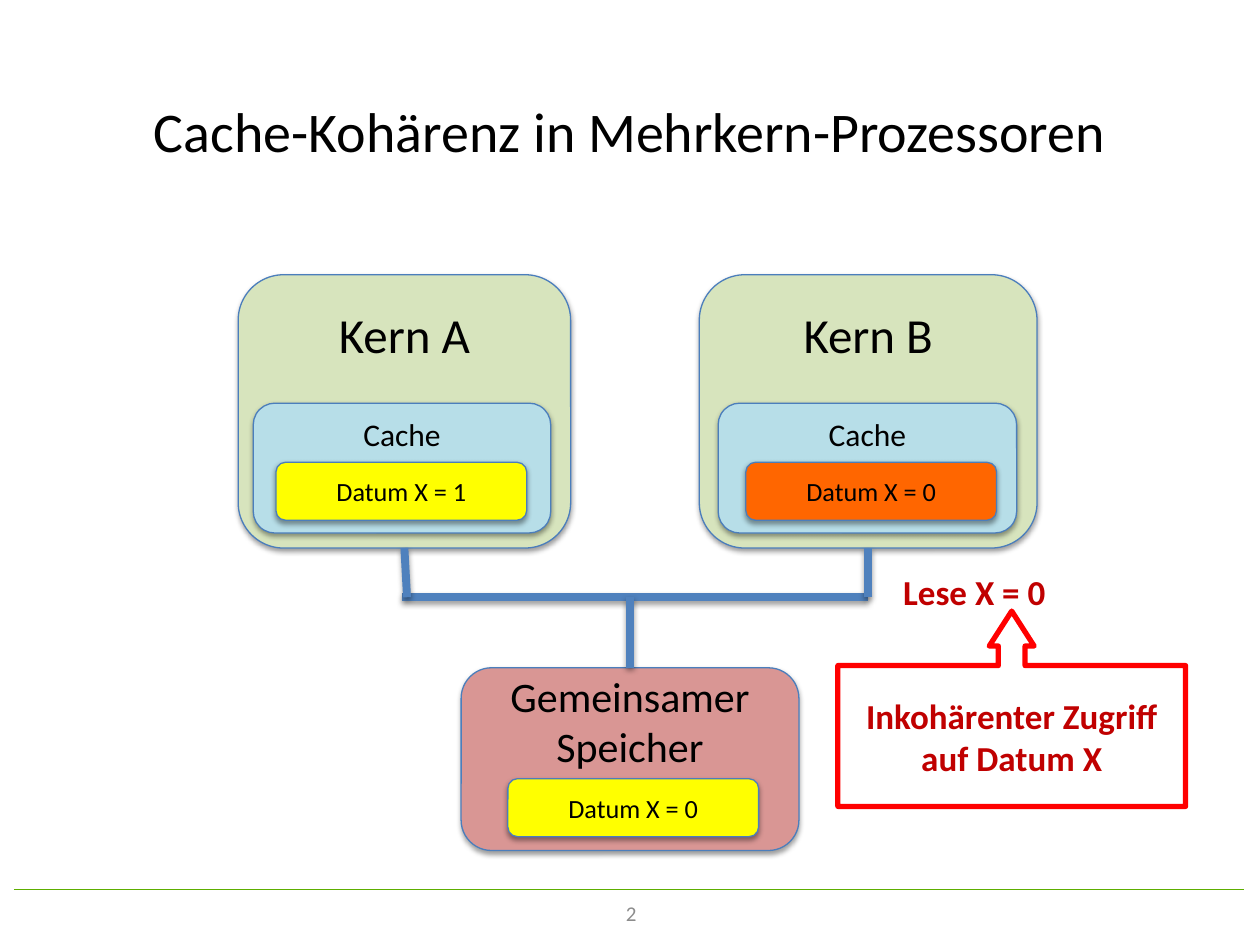
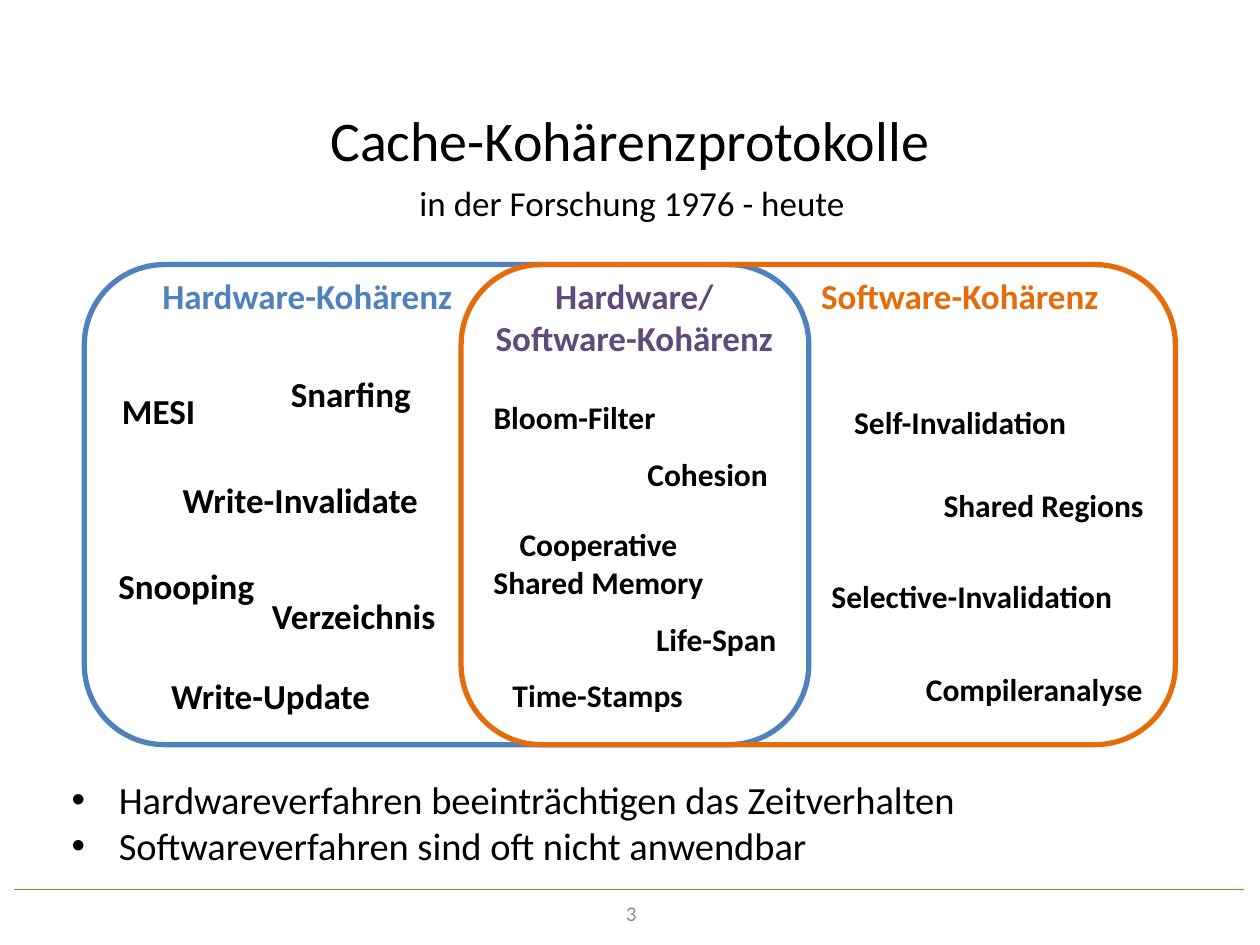
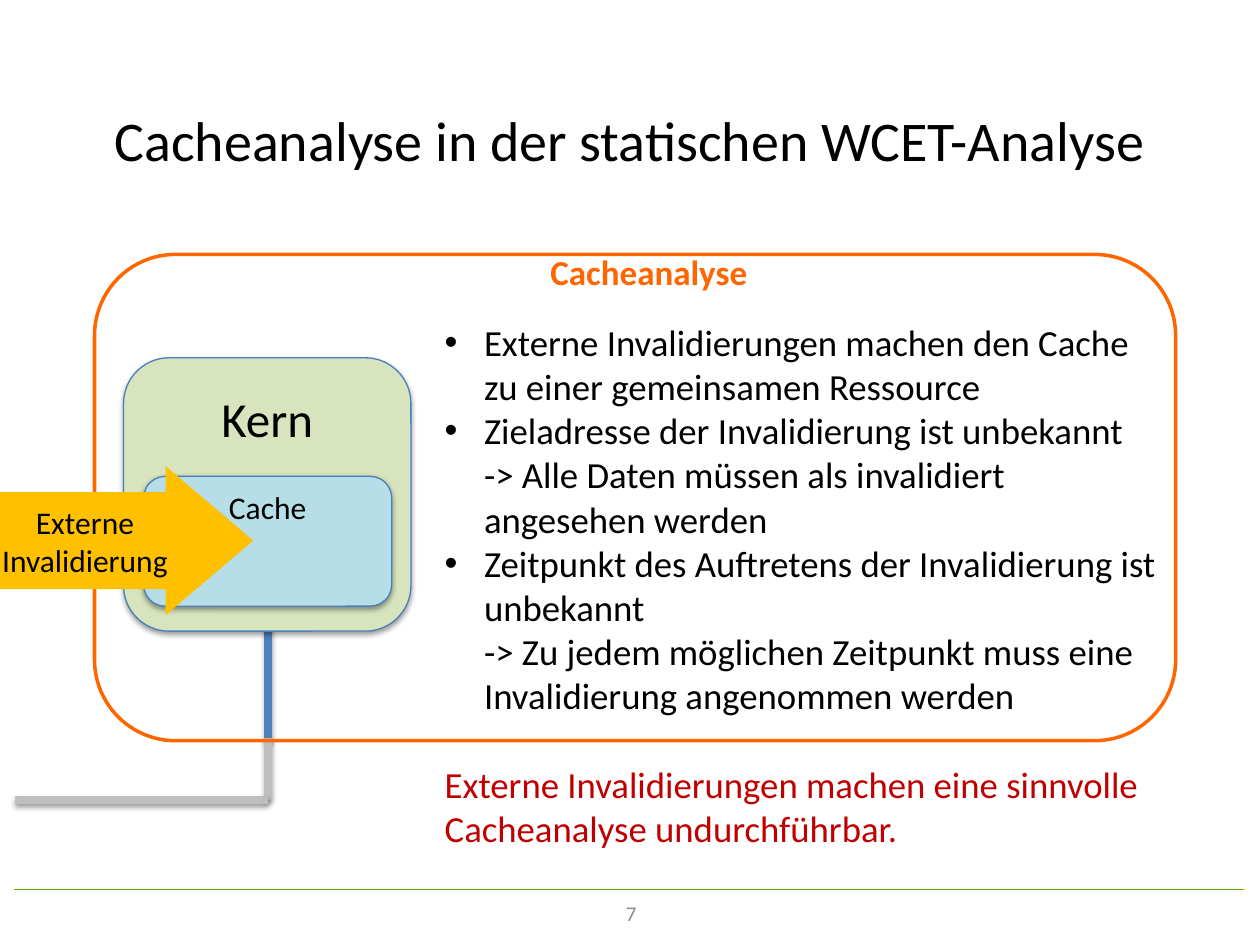
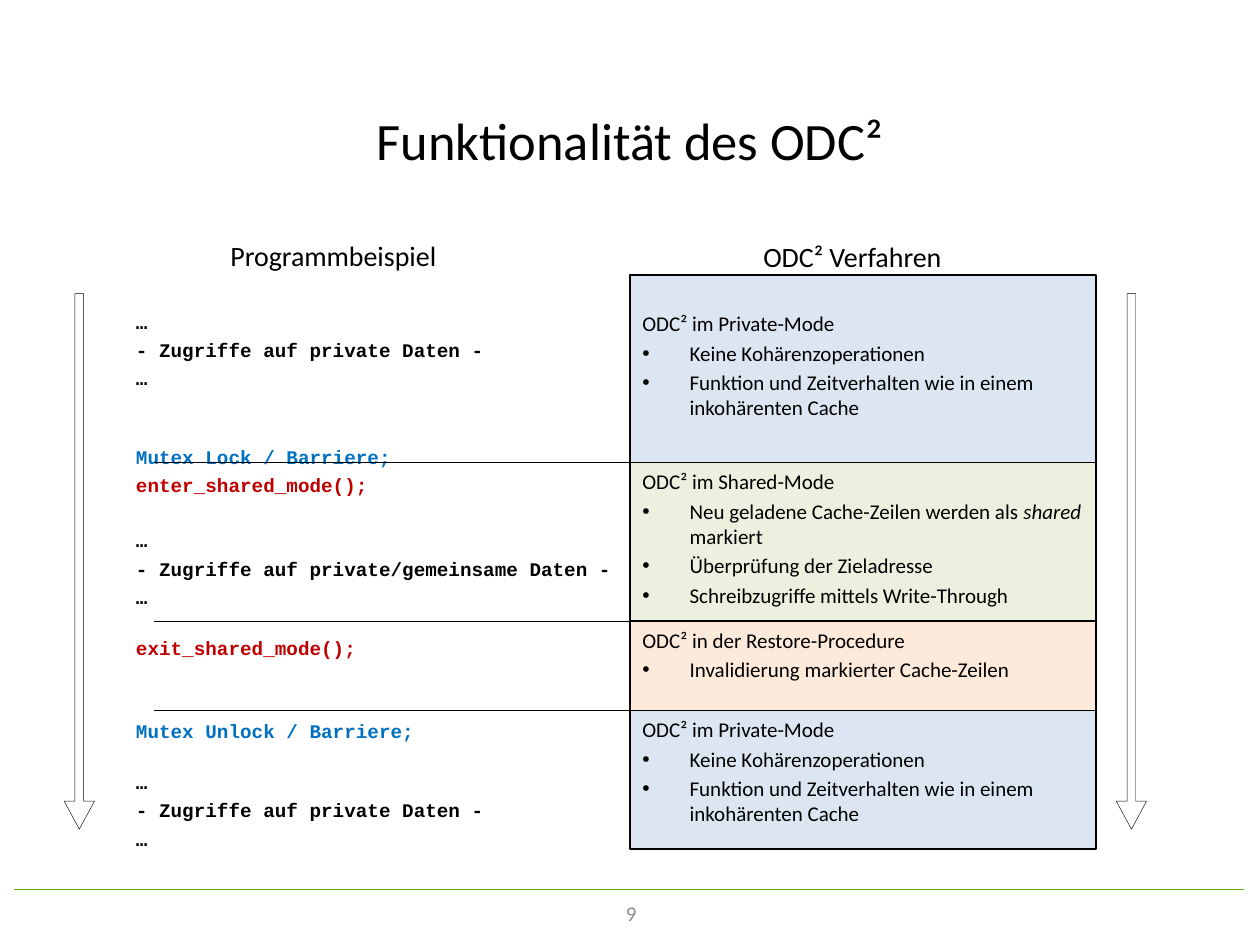
from dataclasses import dataclass, replace
from typing import NamedTuple, Optional, Sequence

from lxml import etree
from pptx import Presentation
from pptx import util as u
from pptx.dml import color as dml_color
from pptx.enum import dml, shapes, text
from pptx.oxml import ns

Pt = u.Pt
KIND = shapes.MSO_SHAPE
ALIGN = text.PP_ALIGN
ANCHOR = text.MSO_ANCHOR

COLORS = {
    "ink": "000000",
    "page_number": "8C8C8C",
    "footer": "5DAE00",
    "outline": "4B7EBC",
    "bus": "4F81BD",
    "outside_bus": "BFBFBF",
    "core": "D7E4BD",
    "cache": "B7DEE8",
    "memory": "D99694",
    "current": "FFFF00",
    "stale": "FF6600",
    "warning": "C00000",
    "alarm": "FF0000",
    "hardware": "4F81BD",
    "software": "E46C0A",
    "hybrid": "604A7B",
    "invalidation": "FFC000",
    "lock": "0070C0",
    "private": "DCE6F2",
    "shared": "EBF1DE",
    "restore": "FDEADA",
}
LINE_HEIGHT = 1.22
PADDING = 3.6


class Area(NamedTuple):
    left: float
    top: float
    width: float
    height: float


class Insets(NamedTuple):
    left: float = 7.2
    top: float = PADDING
    right: float = 7.2
    bottom: float = PADDING


class Shadow(NamedTuple):
    opacity: int
    blur: float
    distance: float


class Stroke(NamedTuple):
    color: str
    width: float
    dash: Optional[dml.MSO_LINE] = None


class Style(NamedTuple):
    size: float
    color: str = "ink"
    bold: bool = False
    name: str = "Calibri"


@dataclass(frozen=True)
class Para:
    text: str
    style: Style
    align: ALIGN = ALIGN.LEFT
    bullet_indent: float = 0
    space_before: float = 0
    italic: str = ""


@dataclass(frozen=True)
class Label:
    text: str
    left: float
    top: float
    width: float
    style: Style
    align: ALIGN = ALIGN.LEFT


@dataclass(frozen=True)
class Mode:
    title: str
    points: Sequence[str]
    top: float
    bottom: float
    fill: str
    padding_top: float = PADDING


SOFT = Shadow(38, 3.1, 1.6)
FOOTER_SHADOW = Shadow(40, 4, 1)
THIN = Stroke("outline", 0.75)
BUS = Stroke("bus", 4.5)
OUTSIDE_BUS = Stroke("outside_bus", 4.5)
HAIRLINE = Stroke("ink", 0.25)


def rgb(name: str) -> dml_color.RGBColor:
    return dml_color.RGBColor.from_string(COLORS[name])


def apply_stroke(line, stroke: Stroke) -> None:
    line.color.rgb = rgb(stroke.color)
    line.width = Pt(stroke.width)
    if stroke.dash:
        line.dash_style = stroke.dash


def cast_shadow(properties, shadow: Optional[Shadow]) -> None:
    effects = properties.find(ns.qn("a:effectLst"))
    if effects is None:
        effects = etree.SubElement(properties, ns.qn("a:effectLst"))
    if shadow:
        outer = etree.SubElement(
            effects, ns.qn("a:outerShdw"),
            blurRad=str(Pt(shadow.blur)), dist=str(Pt(shadow.distance)),
            dir="5400000", rotWithShape="0")
        tone = etree.SubElement(outer, ns.qn("a:srgbClr"), val=COLORS["ink"])
        etree.SubElement(tone, ns.qn("a:alpha"), val=str(shadow.opacity * 1000))


def add_bullet(para, indent: float) -> None:
    properties = para._p.get_or_add_pPr()
    properties.set("marL", str(Pt(indent)))
    properties.set("indent", str(-Pt(indent)))
    etree.SubElement(properties, ns.qn("a:buFont"), typeface="Arial")
    etree.SubElement(properties, ns.qn("a:buChar"), char="•")


def write(box, paras: Sequence[Para], anchor: ANCHOR = ANCHOR.TOP,
          insets: Insets = Insets(), wrap: bool = True) -> None:
    frame = box.text_frame
    frame.word_wrap = wrap
    frame.vertical_anchor = anchor
    frame.margin_left, frame.margin_top, frame.margin_right, frame.margin_bottom = map(Pt, insets)
    for index, item in enumerate(paras):
        para = frame.add_paragraph() if index else frame.paragraphs[0]
        para.alignment = item.align
        para.space_before = Pt(item.space_before)
        if item.bullet_indent:
            add_bullet(para, item.bullet_indent)
        if item.italic:
            for piece in item.text.partition(item.italic):
                span = para.add_run()
                span.text = piece
                span.font.italic = piece == item.italic
        else:
            para.text = item.text
        font = para.font
        font.name, font.size, font.bold = item.style.name, Pt(item.style.size), item.style.bold
        font.color.rgb = rgb(item.style.color)


def add_text(page, area: Area, paras: Sequence[Para], anchor: ANCHOR = ANCHOR.TOP,
             insets: Insets = Insets(), wrap: bool = True):
    box = page.shapes.add_textbox(*map(Pt, area))
    write(box, paras, anchor, insets, wrap)
    return box


def add_label(page, label: Label) -> None:
    lines = label.text.count("\n") + 1
    height = lines * label.style.size * LINE_HEIGHT + 2 * PADDING
    box = add_text(page, Area(label.left, label.top, label.width, height),
                   [Para(label.text, label.style, label.align)], wrap=False)
    box.text_frame.auto_size = text.MSO_AUTO_SIZE.SHAPE_TO_FIT_TEXT


def add_figure(page, kind: KIND, area: Area, fill: Optional[str] = None,
               stroke: Optional[Stroke] = None, shadow: Optional[Shadow] = None,
               adjustments: Sequence[float] = ()):
    figure = page.shapes.add_shape(kind, *map(Pt, area))
    for index, value in enumerate(adjustments):
        figure.adjustments[index] = value
    if fill:
        figure.fill.solid()
        figure.fill.fore_color.rgb = rgb(fill)
    else:
        figure.fill.background()
    if stroke:
        apply_stroke(figure.line, stroke)
    else:
        figure.line.fill.background()
    figure.shadow.inherit = False
    cast_shadow(figure._element.spPr, shadow)
    return figure


def add_block(page, area: Area, fill: str, caption: str, size: float, room_below: float = 0):
    block = add_figure(page, KIND.ROUNDED_RECTANGLE, area, fill, THIN, SOFT)
    write(block, [Para(caption, Style(size), ALIGN.CENTER)], ANCHOR.MIDDLE,
          Insets(bottom=PADDING + room_below))
    return block


def add_core(page, area: Area, caption: str):
    return add_block(page, area, "core", caption, 28, 88)


def add_cache(page, left: float, top: float, width: float):
    return add_block(page, Area(left, top, width, 74.2), "cache", "Cache", 18, 39)


def add_datum(page, left: float, top: float, value: int, fill: str):
    return add_block(page, Area(left, top, 143.3, 33.1), fill, f"Datum X = {value}", 15)


def add_line(page, start: tuple[float, float], end: tuple[float, float], stroke: Stroke,
             shadow: Optional[Shadow] = None):
    line = page.shapes.add_connector(shapes.MSO_CONNECTOR.STRAIGHT, *map(Pt, start + end))
    apply_stroke(line.line, stroke)
    cast_shadow(line._element.spPr, shadow)
    return line


def add_page(deck, title: str, number: int, title_top: float = 43.2, title_size: float = 32):
    page = deck.slides.add_slide(deck.slide_layouts[6])
    add_line(page, (7.9, 508.3), (710.6, 508.3), Stroke("footer", 1), FOOTER_SHADOW)
    add_text(page, Area(36, title_top, 648, 72.7),
             [Para(title, Style(title_size), ALIGN.CENTER)], ANCHOR.MIDDLE)
    add_text(page, Area(342.7, 507.6, 28.1, 28.8),
             [Para(str(number), Style(12, "page_number"), ALIGN.RIGHT)], ANCHOR.MIDDLE)
    return page


def build_coherence(deck) -> None:
    page = add_page(deck, "Cache-Kohärenz in Mehrkern-Prozessoren", 2, title_top=38.2)
    bus_y = 341.3
    core_a = add_core(page, Area(136.1, 157, 190, 156.2), "Kern A")
    add_cache(page, 144.7, 230.4, 170)
    core_b = add_core(page, Area(399.6, 157, 193, 156.2), "Kern B")
    add_cache(page, 410.4, 230.4, 170.6)
    memory = add_block(page, Area(263.5, 381.6, 193, 104.4), "memory",
                       "Gemeinsamer Speicher", 24, 44)
    add_line(page, (229.7, bus_y), (496.1, bus_y), BUS, SOFT)
    for core, bus_x in ((core_a, 232.6), (core_b, 496.1)):
        link = add_line(page, (bus_x, bus_y), (bus_x, bus_y), BUS, SOFT)
        link.end_connect(core, 2)
    add_datum(page, 290.2, 445, 0, "current")
    link = add_line(page, (360, bus_y), (360, 381.6), BUS, SOFT)
    link.end_connect(memory, 0)
    add_datum(page, 157.7, 264.2, 1, "current")
    add_datum(page, 426.2, 264.2, 0, "stale")
    warning = Style(20, "warning", True)
    add_label(page, Label("Lese X = 0", 509, 322.6, 96.5, warning))
    callout = add_figure(page, KIND.UP_ARROW_CALLOUT, Area(478.8, 349.2, 198.7, 111.6),
                         stroke=Stroke("alarm", 3), adjustments=(0.137, 0.115, 0.179, 0.721))
    write(callout, [Para("Inkohärenter Zugriff auf Datum X", warning, ALIGN.CENTER)],
          ANCHOR.MIDDLE)


def build_protocols(deck) -> None:
    page = add_page(deck, "Cache-Kohärenzprotokolle", 3)
    for left, width, tone in ((48.2, 414, "hardware"), (263.5, 408.2, "software")):
        add_figure(page, KIND.ROUNDED_RECTANGLE, Area(left, 151.2, width, 274.3),
                   stroke=Stroke(tone, 3))
    large, small = Style(20, bold=True), Style(18, bold=True)
    labels = [
        Label("Hardware-Kohärenz", 85.7, 153.4, 182.2, Style(20, "hardware", True)),
        Label("Software-Kohärenz", 462.2, 153.4, 175, Style(20, "software", True)),
        Label("Hardware/\nSoftware-Kohärenz", 275, 153.4, 175, Style(20, "hybrid", True),
              ALIGN.CENTER),
        Label("MESI", 62.6, 218.9, 56.9, large),
        Label("Snooping", 60.5, 319, 92.9, large),
        Label("Snarfing", 159.1, 209.5, 84.2, large),
        Label("Write-Update", 90.7, 381.6, 128.9, large),
        Label("Write-Invalidate", 97.2, 270, 150.5, large),
        Label("Verzeichnis", 148.3, 336.2, 108.7, large),
        Label("Self-Invalidation", 481, 226.8, 136.8, small),
        Label("Selective-Invalidation", 468, 326.2, 176.4, small),
        Label("Compileranalyse", 522, 379.4, 139, small),
        Label("Time-Stamps", 285.8, 383, 112.3, small),
        Label("Shared Regions", 532.1, 274.3, 129.6, small),
        Label("Life-Span", 367.9, 350.6, 83.5, small),
        Label("Bloom-Filter", 275, 223.9, 108, small),
        Label("Cohesion", 362.9, 256.3, 83.5, small),
        Label("Cooperative\nShared Memory", 274.3, 296.6, 135.4, small, ALIGN.CENTER),
        Label("in der Forschung 1976 - heute", 232.6, 100.1, 259.9, Style(20)),
    ]
    for label in labels:
        add_label(page, label)
    findings = ("Hardwareverfahren beeinträchtigen das Zeitverhalten",
                "Softwareverfahren sind oft nicht anwendbar")
    add_text(page, Area(33.8, 439.9, 524.2, 60.5),
             [Para(finding, Style(22), bullet_indent=27) for finding in findings])


def build_analysis(deck) -> None:
    page = add_page(deck, "Cacheanalyse in der statischen WCET-Analyse", 7)
    bus_x, bus_y = 153.4, 457.2
    add_line(page, (bus_x, 329.8), (bus_x, 423.4), BUS, SOFT)
    add_line(page, (bus_x, 421.9), (bus_x, bus_y), OUTSIDE_BUS, SOFT)
    add_core(page, Area(70.6, 204.5, 164.2, 156.2), "Kern")
    add_cache(page, 82.1, 272.2, 141.8)
    add_figure(page, KIND.ROUNDED_RECTANGLE, Area(54, 145.4, 617.8, 277.9),
               stroke=Stroke("stale", 2))
    add_label(page, Label("Cacheanalyse", 307.4, 139.7, 128.2, Style(20, "stale", True)))
    body = Style(21)
    problems = (
        "Externe Invalidierungen machen den Cache zu einer gemeinsamen Ressource",
        "Zieladresse der Invalidierung ist unbekannt\n"
        "-> Alle Daten müssen als invalidiert angesehen werden",
        "Zeitpunkt des Auftretens der Invalidierung ist unbekannt\n"
        "-> Zu jedem möglichen Zeitpunkt muss eine Invalidierung angenommen werden",
    )
    paras = [Para(problem, body, bullet_indent=22.5) for problem in problems]
    paras.append(Para("Externe Invalidierungen machen eine sinnvolle Cacheanalyse undurchführbar.",
                      body._replace(color="warning"), space_before=body.size * LINE_HEIGHT))
    add_text(page, Area(247, 179.3, 425.5, 312.5), paras)
    add_line(page, (bus_x, bus_y), (8.6, bus_y), OUTSIDE_BUS, SOFT)
    arrow = add_figure(page, KIND.RIGHT_ARROW, Area(0, 266.4, 144.7, 85), "invalidation",
                       adjustments=(0.652, 0.588))
    write(arrow, [Para(word, Style(18), ALIGN.CENTER) for word in ("Externe", "Invalidierung")],
          ANCHOR.MIDDLE, Insets(left=0, right=15))


def add_mode(page, mode: Mode) -> None:
    box = add_figure(page, KIND.RECTANGLE, Area(360, mode.top, 266.4, mode.bottom - mode.top),
                     mode.fill, Stroke("ink", 1))
    item = Para("", Style(12), bullet_indent=27, space_before=2.4)
    paras = [Para(mode.title, Style(12))]
    paras += [replace(item, text=point, italic="shared " if "shared " in point else "")
              for point in mode.points]
    write(box, paras, insets=Insets(top=mode.padding_top))


def build_function(deck) -> None:
    page = add_page(deck, "Funktionalität des ODC²", 9, title_size=30)
    code = Style(11, bold=True, name="Courier New")
    lock, call = code._replace(color="lock"), code._replace(color="warning")
    step = 3
    program = [
        ("…", code, 0),
        ("- Zugriffe auf private Daten -", code, step),
        ("…", code, step),
        ("Mutex Lock / Barriere;", lock, 31.5),
        ("enter_shared_mode();", call, step),
        ("…", code, 18.4),
        ("- Zugriffe auf private/gemeinsame Daten -", code, step),
        ("…", code, step),
        ("exit_shared_mode();", call, 16.1),
        ("Mutex Unlock / Barriere;", lock, 33.8),
        ("…", code, 16.1),
        ("- Zugriffe auf private Daten -", code, step),
        ("…", code, step),
    ]
    add_text(page, Area(70.6, 156.2, 289.4, 329),
             [Para(line, style, space_before=gap) for line, style, gap in program],
             insets=Insets(top=20.9))
    private_title = "ODC² im Private-Mode"
    private_points = ("Keine Kohärenzoperationen",
                      "Funktion und Zeitverhalten wie in einem inkohärenten Cache")
    modes = [
        Mode(private_title, private_points, 157, 264.4, "private", 20.7),
        Mode("ODC² im Shared-Mode",
             ("Neu geladene Cache-Zeilen werden als shared markiert",
              "Überprüfung der Zieladresse",
              "Schreibzugriffe mittels Write-Through"), 264.4, 355, "shared"),
        Mode("ODC² in der Restore-Procedure",
             ("Invalidierung markierter Cache-Zeilen",), 355, 406.1, "restore"),
        Mode(private_title, private_points, 406.1, 485.3, "private"),
    ]
    for mode in modes:
        add_mode(page, mode)
    for mode in modes[1:]:
        add_line(page, (360, mode.top), (87.8, mode.top),
                 HAIRLINE._replace(dash=dml.MSO_LINE.ROUND_DOT))
    add_label(page, Label("Programmbeispiel", 124.6, 132.5, 133.9, Style(16)))
    add_label(page, Label("ODC² Verfahren", 429.1, 133.2, 118.1, Style(16)))
    for left in (36.7, 637.9):
        add_figure(page, KIND.DOWN_ARROW, Area(left, 167.8, 17.3, 306), stroke=HAIRLINE,
                   adjustments=(0.288, 0.923))


def main() -> None:
    deck = Presentation()
    deck.slide_width, deck.slide_height = Pt(720), Pt(540)
    for build in (build_coherence, build_protocols, build_analysis, build_function):
        build(deck)
    deck.save("out.pptx")


if __name__ == "__main__":
    main()
